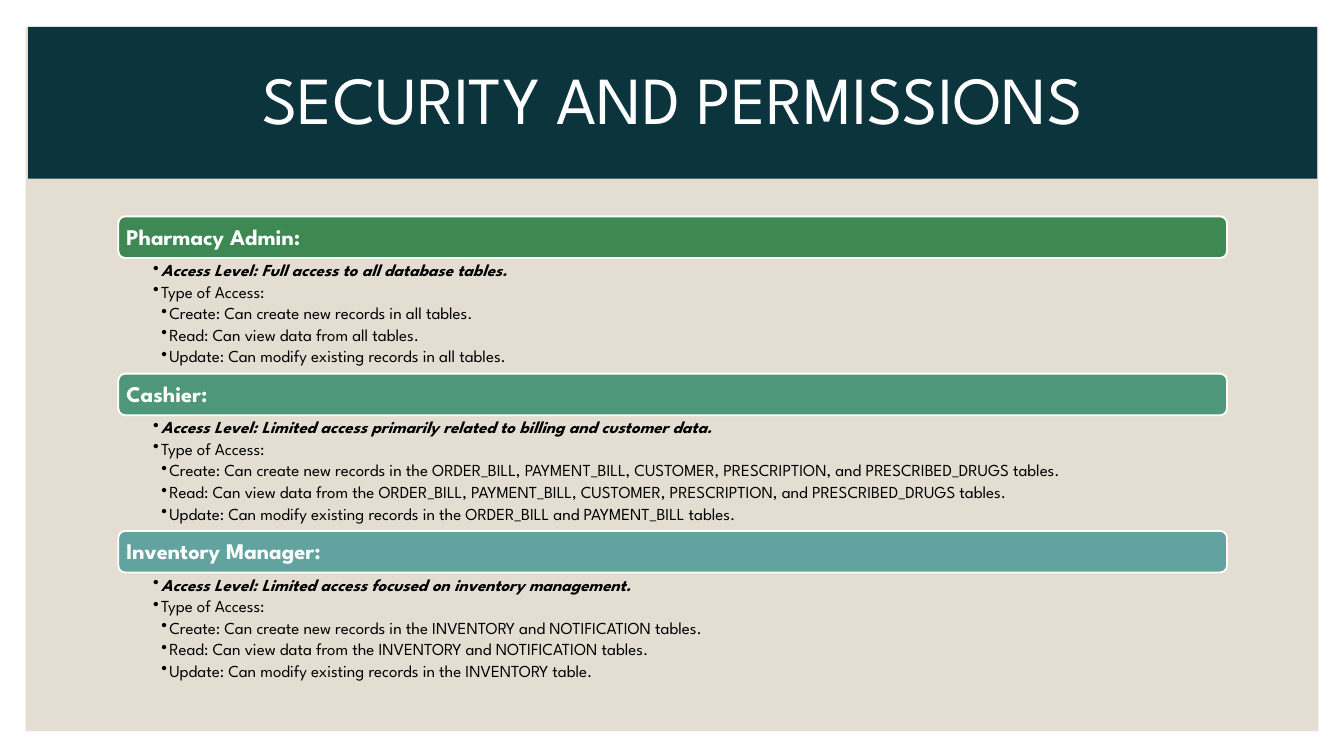
from pptx import Presentation
from pptx.dml.color import RGBColor
from pptx.enum.shapes import MSO_SHAPE
from pptx.enum.text import MSO_ANCHOR, MSO_AUTO_SIZE, PP_ALIGN
from pptx.oxml.ns import qn
from pptx.util import Inches, Pt

FONT = "League Spartan"
LEFT, TOP, WIDTH = 0.88, 1.61, 8.25
ROLE_PITCH = 1.17
BAR_HEIGHT, LIST_HEIGHT = 0.31, 0.86
INDENT = 0.06

# Name, bar colour, access level, and what each kind of access covers
ROLES = [
    ("Pharmacy Admin:", "3E8853", "Full access to all database tables.",
     ["in all tables.", "from all tables.", "in all tables."]),
    ("Cashier:", "4E977B",
     "Limited access primarily related to billing and customer data.",
     ["in the ORDER_BILL, PAYMENT_BILL, CUSTOMER, PRESCRIPTION, and PRESCRIBED_DRUGS tables.",
      "from the ORDER_BILL, PAYMENT_BILL, CUSTOMER, PRESCRIPTION, and PRESCRIBED_DRUGS tables.",
      "in the ORDER_BILL and PAYMENT_BILL tables."]),
    ("Inventory Manager:", "62A39F",
     "Limited access focused on inventory management.",
     ["in the INVENTORY and NOTIFICATION tables.",
      "from the INVENTORY and NOTIFICATION tables.",
      "in the INVENTORY table."]),
]
ACTIONS = ["Create: Can create new records", "Read: Can view data",
           "Update: Can modify existing records"]


def color(value):
    return RGBColor.from_string(value)


def place(shape, left, top, width, height):
    shape.left, shape.top = Inches(left), Inches(top)
    shape.width, shape.height = Inches(width), Inches(height)


def fill_shape(shape, fill, line=None):
    shape.fill.solid()
    shape.fill.fore_color.rgb = color(fill)
    if line:
        shape.line.color.rgb = color(line)
        shape.line.width = Pt(1)
    else:
        shape.line.fill.background()


def set_frame(frame, left, top, right, bottom, anchor):
    frame.word_wrap = True
    frame.auto_size = MSO_AUTO_SIZE.NONE
    frame.vertical_anchor = anchor
    frame.margin_left, frame.margin_top = Inches(left), Inches(top)
    frame.margin_right, frame.margin_bottom = Inches(right), Inches(bottom)


def add_text(paragraph, text, size, text_color, bold=False, italic=False):
    paragraph.line_spacing = 0.9
    run = paragraph.add_run()
    run.text = text
    font = run.font
    font.name, font.size = FONT, Pt(size)
    font.bold, font.italic = bold, italic
    font.color.rgb = color(text_color)


def add_bullet(paragraph, level):
    paragraph.level = level
    paragraph.space_before, paragraph.space_after = Pt(0), Pt(1.8)
    properties = paragraph._p.get_or_add_pPr()
    properties.set("marL", str(Inches(INDENT * level)))
    properties.set("indent", str(Inches(-INDENT)))
    bullet = properties.makeelement(qn("a:buChar"), {"char": "•"})
    properties.append(bullet)


def add_box(slide, preset, left, top, width, height, fill, line=None):
    shape = slide.shapes.add_shape(preset, 0, 0, 0, 0)
    place(shape, left, top, width, height)
    shape.shadow.inherit = False
    fill_shape(shape, fill, line)
    return shape


def format_title(title, text):
    place(title, 0.21, 0.2, 9.59, 1.13)
    fill_shape(title, "0C343D")
    set_frame(title.text_frame, 0.1, 0.1, 0.1, 0.1, MSO_ANCHOR.MIDDLE)
    paragraph = title.text_frame.paragraphs[0]
    paragraph.alignment = PP_ALIGN.CENTER
    add_text(paragraph, text, 36, "FFFFFF")


def add_role_bar(slide, top, name, fill):
    add_box(slide, MSO_SHAPE.ROUNDED_RECTANGLE, LEFT, top, WIDTH, BAR_HEIGHT,
            fill, "FFFFFF")
    label = slide.shapes.add_textbox(0, 0, 0, 0)
    place(label, LEFT + 0.01, top + 0.02, WIDTH - 0.03, BAR_HEIGHT - 0.03)
    set_frame(label.text_frame, 0.05, 0.05, 0.05, 0.05, MSO_ANCHOR.MIDDLE)
    add_text(label.text_frame.paragraphs[0], name, 12, "FFFFFF", bold=True)


def add_access_list(slide, top, access_level, scopes):
    box = slide.shapes.add_textbox(0, 0, 0, 0)
    place(box, LEFT, top, WIDTH, LIST_HEIGHT)
    frame = box.text_frame
    set_frame(frame, 0.26, 0.02, 0.09, 0.02, MSO_ANCHOR.TOP)
    items = [(f"Access Level: {access_level}", 1), ("Type of Access:", 1)]
    items += [(f"{action} {scope}", 2) for action, scope in zip(ACTIONS, scopes)]
    for index, (text, level) in enumerate(items):
        first = index == 0
        paragraph = frame.paragraphs[0] if first else frame.add_paragraph()
        add_text(paragraph, text, 9, "000000", bold=first, italic=first)
        add_bullet(paragraph, level)


def main():
    presentation = Presentation()
    presentation.slide_width = Inches(10)
    presentation.slide_height = presentation.slide_width * 9 // 16
    slide = presentation.slides.add_slide(presentation.slide_layouts[5])
    title = slide.shapes.title
    format_title(title, "SECURITY AND PERMISSIONS")
    panel = add_box(slide, MSO_SHAPE.RECTANGLE, 0.19, 0.2, 9.62, 5.24, "E3DED1")
    title.element.addprevious(panel.element)  # panel lies behind the title
    for index, (name, fill, access_level, scopes) in enumerate(ROLES):
        top = TOP + index * ROLE_PITCH
        add_role_bar(slide, top, name, fill)
        add_access_list(slide, top + BAR_HEIGHT + 0.01, access_level, scopes)
    presentation.save("out.pptx")


if __name__ == "__main__":
    main()
